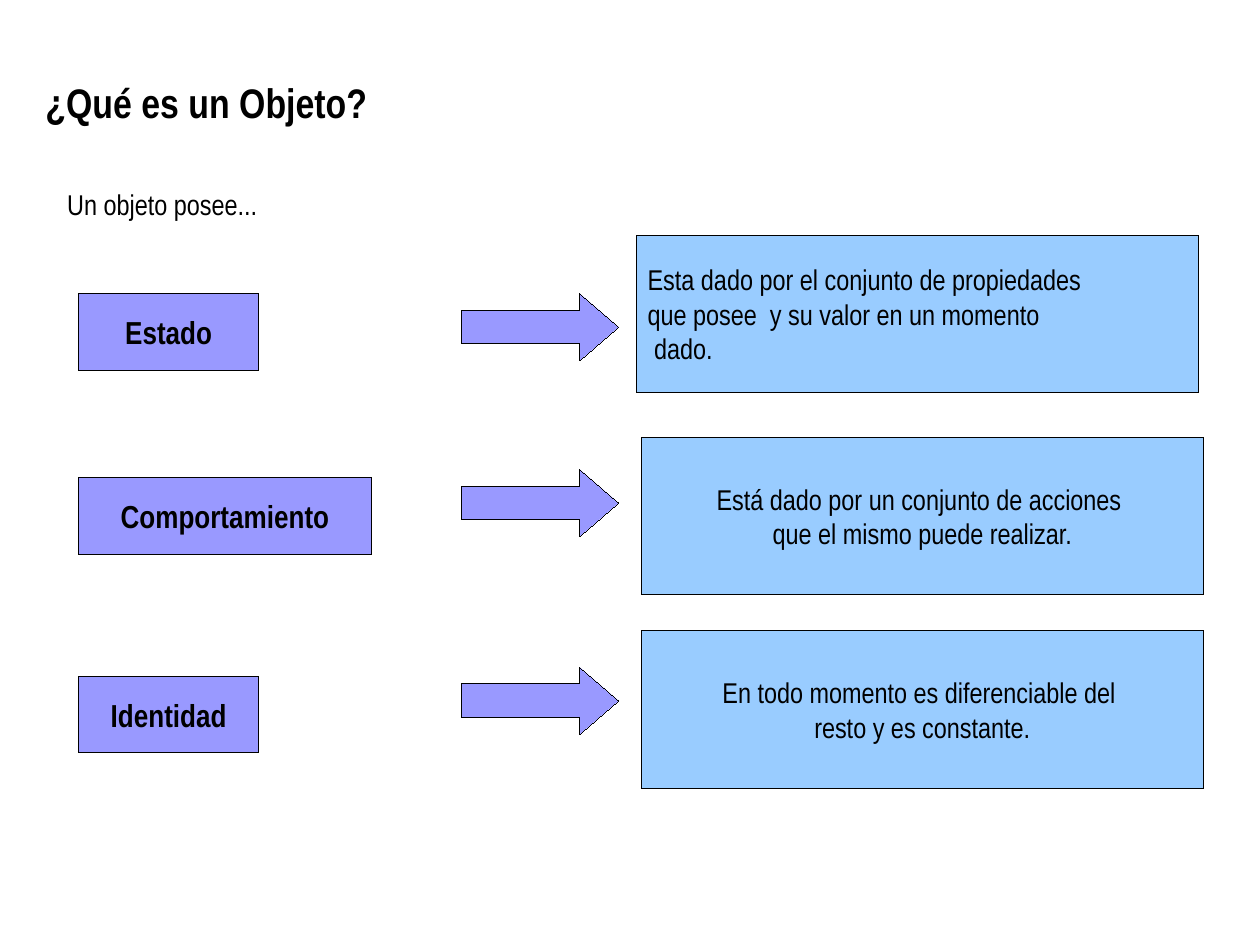
import pptx
import pptx.dml.color
import pptx.enum.shapes
import pptx.enum.text
import pptx.util

Pt = pptx.util.Pt
RGBColor = pptx.dml.color.RGBColor
MSO_SHAPE = pptx.enum.shapes.MSO_SHAPE
PP_ALIGN = pptx.enum.text.PP_ALIGN
MSO_ANCHOR = pptx.enum.text.MSO_ANCHOR
MSO_AUTO_SIZE = pptx.enum.text.MSO_AUTO_SIZE

FONT = "Arial Narrow"
BLACK = RGBColor(0x00, 0x00, 0x00)
VIOLET = RGBColor(0x99, 0x99, 0xFF)
SKY = RGBColor(0x99, 0xCC, 0xFF)

HAIRLINE = 0.01  # a width of 0 would fall back to the theme's line
LABEL_LEFT, LABEL_HEIGHT = 49.6, 48.2
ARROW_LEFT, ARROW_WIDTH, ARROW_HEIGHT = 290.6, 99.2, 42.5
BOX_WIDTH, BOX_HEIGHT = 354.3, 99.2

# label, label top, label width, arrow top, box left, box top, box alignment, box lines
ROWS = [
    ("Estado", 185, 113.3, 184.8, 400.9, 148.1, PP_ALIGN.LEFT,
     ["Esta dado por el conjunto de propiedades",
      "que posee  y su valor en un momento",
      " dado."]),
    ("Comportamiento", 301, 184.3, 295.6, 403.9, 275.5, PP_ALIGN.CENTER,
     ["Está dado por un conjunto de acciones ",
      "que el mismo puede realizar."]),
    ("Identidad", 425.9, 113.3, 420.2, 403.9, 397.4, PP_ALIGN.CENTER,
     ["En todo momento es diferenciable del ",
      "resto y es constante."]),
]


def write_text(tf, lines, size=18, bold=False, align=PP_ALIGN.LEFT,
               anchor=MSO_ANCHOR.TOP, wrap=True):
    """Fill a text frame with one paragraph per line."""
    tf.word_wrap = wrap
    tf.vertical_anchor = anchor
    for i, line in enumerate(lines):
        p = tf.paragraphs[0] if i == 0 else tf.add_paragraph()
        p.alignment = align
        r = p.add_run()
        r.text = line
        r.font.name = FONT
        r.font.size = Pt(size)
        r.font.bold = bold
        r.font.color.rgb = BLACK


def add_text(s, text, left, top, width, height, **fmt):
    tf = s.shapes.add_textbox(Pt(left), Pt(top), Pt(width), Pt(height)).text_frame
    write_text(tf, [text], **fmt)
    tf.auto_size = MSO_AUTO_SIZE.SHAPE_TO_FIT_TEXT


def add_outlined(s, kind, left, top, width, height, fill):
    """Add a filled preset shape with a black hairline."""
    sp = s.shapes.add_shape(kind, Pt(left), Pt(top), Pt(width), Pt(height))
    sp.shadow.inherit = False
    sp.fill.solid()
    sp.fill.fore_color.rgb = fill
    sp.line.color.rgb = BLACK
    sp.line.width = Pt(HAIRLINE)
    return sp


def add_box(s, lines, left, top, width, height, fill, **fmt):
    sp = add_outlined(s, MSO_SHAPE.RECTANGLE, left, top, width, height, fill)
    write_text(sp.text_frame, lines, anchor=MSO_ANCHOR.MIDDLE, wrap=False, **fmt)


def add_arrow(s, top):
    sp = add_outlined(s, MSO_SHAPE.RIGHT_ARROW, ARROW_LEFT, top,
                      ARROW_WIDTH, ARROW_HEIGHT, VIOLET)
    sp.adjustments[0] = 0.5
    sp.adjustments[1] = 0.58


def main():
    prs = pptx.Presentation()
    prs.slide_width = Pt(793.75)
    prs.slide_height = Pt(595.25)
    s = prs.slides.add_slide(prs.slide_layouts[6])

    add_text(s, "¿Qué es un Objeto?", 21.6, 45.4, 765.4, 37.4, size=26, bold=True)
    add_text(s, "Un objeto posee...", 35.3, 114.2, 169.9, 28.1)

    for (label, label_top, label_width, arrow_top,
         box_left, box_top, align, lines) in ROWS:
        add_box(s, [label], LABEL_LEFT, label_top, label_width, LABEL_HEIGHT,
                VIOLET, size=20, bold=True, align=PP_ALIGN.CENTER)
        add_arrow(s, arrow_top)
        add_box(s, lines, box_left, box_top, BOX_WIDTH, BOX_HEIGHT, SKY, align=align)

    prs.save("out.pptx")


if __name__ == "__main__":
    main()
